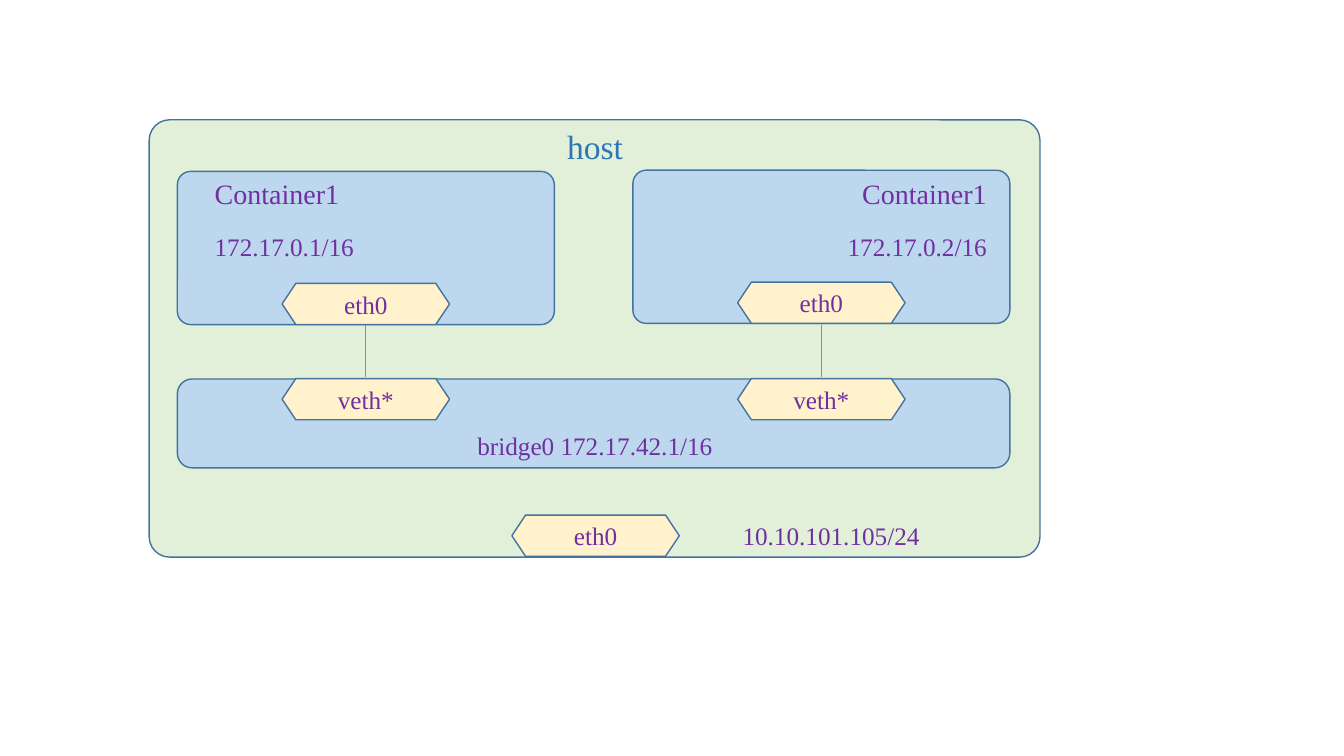
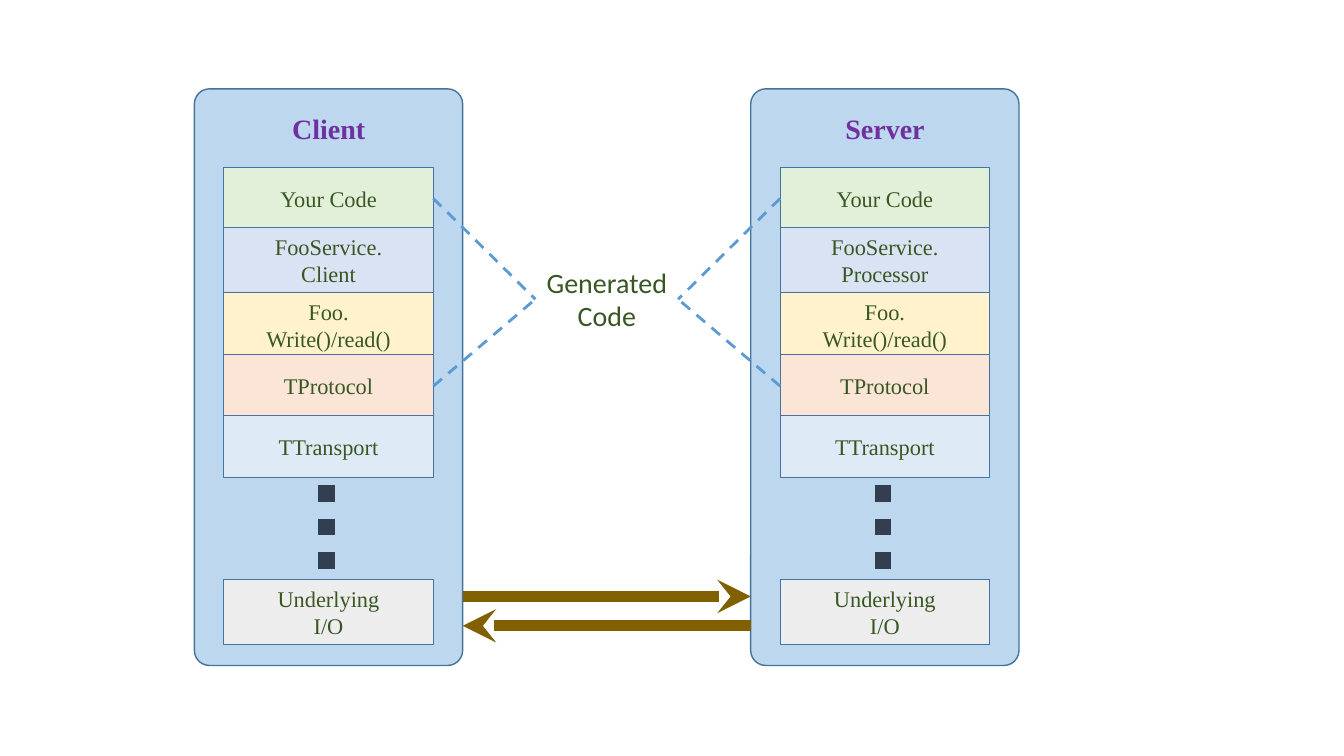
from pptx import Presentation
from pptx.dml.color import RGBColor
from pptx.enum.dml import MSO_LINE_DASH_STYLE
from pptx.enum.shapes import MSO_CONNECTOR_TYPE, MSO_SHAPE
from pptx.enum.text import MSO_ANCHOR, PP_ALIGN
from pptx.oxml.ns import qn
from pptx.util import Cm, Pt
from lxml import etree

ROUNDED, HEXAGON, RECTANGLE = (
    MSO_SHAPE.ROUNDED_RECTANGLE, MSO_SHAPE.HEXAGON, MSO_SHAPE.RECTANGLE)
LEFT, CENTER, RIGHT = PP_ALIGN.LEFT, PP_ALIGN.CENTER, PP_ALIGN.RIGHT
MIDDLE = MSO_ANCHOR.MIDDLE
STRAIGHT = MSO_CONNECTOR_TYPE.STRAIGHT
DASH, DOTS = MSO_LINE_DASH_STYLE.DASH, MSO_LINE_DASH_STYLE.ROUND_DOT

SERIF, SANS = "Times New Roman", "Calibri"
OUTLINE, PANEL, CONNECTION = "43739E", "BDD7EE", "5B9BD5"
PALE_GREEN, PALE_YELLOW = "E2F0D9", "FFF2CC"
PURPLE, DARK_GREEN, BLUE = "7030A0", "385723", "2E75B6"
DOT_COLOUR, ARROW_COLOUR = "333F50", "806000"


def add_box(page, place, kind=None, fill=None, adjust=None, outline=1, lines=(),
            size=18, colour=PURPLE, font=SERIF, bold=False, align=CENTER):
    """Add a filled shape, or a text box when no kind is given, with its lines."""
    place = [Cm(length) for length in place]
    if kind is None:
        box = page.shapes.add_textbox(*place)
    else:
        box = page.shapes.add_shape(kind, *place)
        box.shadow.inherit = False
        box.fill.solid()
        box.fill.fore_color.rgb = RGBColor.from_string(fill)
        box.line.color.rgb = RGBColor.from_string(OUTLINE)
        box.line.width = Pt(outline)
        if adjust is not None:
            box.adjustments[0] = adjust
    frame = box.text_frame
    frame.word_wrap = kind != HEXAGON
    frame.vertical_anchor = MIDDLE
    for index, line in enumerate(lines):
        para = frame.add_paragraph() if index else frame.paragraphs[0]
        para.alignment = align
        span = para.add_run()
        span.text = line
        span.font.name = font
        span.font.size = Pt(size)
        span.font.bold = bold
        span.font.color.rgb = RGBColor.from_string(colour)


def add_line(page, start, end, colour, width, dash=None, arrow=False):
    """Add a straight line, optionally dashed or with an arrowhead at its end."""
    line = page.shapes.add_connector(
        STRAIGHT, *[Cm(length) for length in (*start, *end)])
    line.line.color.rgb = RGBColor.from_string(colour)
    line.line.width = Pt(width)
    if dash is not None:
        line.line.dash_style = dash
    if arrow:
        etree.SubElement(line.line._get_or_add_ln(), qn("a:tailEnd"), type="stealth")
    etree.SubElement(line._element.spPr, qn("a:effectLst"))


deck = Presentation()
deck.slide_width, deck.slide_height = Cm(33.87), Cm(19.05)
blank = deck.slide_layouts[6]

# Container network
page = deck.slides.add_slide(blank)
add_box(page, (3.76, 3.02, 22.45, 11.02), ROUNDED, PALE_GREEN, 0.047)
add_box(page, (12.52, 3.05, 4.95, 1.27), lines=["host"], size=24, colour=BLUE)
add_box(page, (4.47, 9.55, 20.98, 2.24), ROUNDED, PANEL)

port_width, port_height = 4.22, 1.04
ports = [("eth0", 12.9, 12.98)]
containers = [
    (4.47, 4.32, 5.16, LEFT, "172.17.0.1/16"),
    (15.95, 4.29, 19.91, RIGHT, "172.17.0.2/16"),
]
for left, top, text_left, align, address in containers:
    add_box(page, (left, top, 9.5, 3.86), ROUNDED, PANEL, 0.087)
    add_box(page, (text_left, 4.32, 5.21, 1.12), lines=["Container1"],
            size=20, align=align)
    add_box(page, (text_left, 5.69, 5.21, 1.02), lines=[address], align=align)
    port_left = left + 2.64
    ports += [("eth0", port_left, top + 2.82), ("veth*", port_left, 9.54)]
    middle = port_left + port_width / 2
    add_line(page, (middle, 8.2), (middle, 9.5), CONNECTION, 0.5)

for name, left, top in ports:
    add_box(page, (left, top, port_width, port_height), HEXAGON, PALE_YELLOW,
            0.333, lines=[name])
add_box(page, (11.63, 10.72, 6.73, 1.02), lines=["bridge0 172.17.42.1/16"])
add_box(page, (17.58, 12.98, 6.73, 1.02), lines=["10.10.101.105/24"])

# Client and server stacks
page = deck.slides.add_slide(blank)
panel_width = 6.76
stacks = [("Client", "Client", 4.9), ("Server", "Processor", 18.92)]
for title, service, left in stacks:
    add_box(page, (left, 2.24, panel_width, 14.53), ROUNDED, PANEL, 0.056)
    add_box(page, (left + 1.3, 2.67, 4.17, 1.12), lines=[title], size=20, bold=True)
    layers = [
        (4.22, 1.57, PALE_GREEN, ["Your Code"]),
        (5.74, 1.63, "DAE3F3", ["FooService.", service]),
        (7.37, 1.63, PALE_YELLOW, ["Foo.", "Write()/read()"]),
        (8.94, 1.57, "FBE5D6", ["TProtocol"]),
        (10.46, 1.57, "DEEBF7", ["TTransport"]),
        (14.61, 1.63, "EDEDED", ["Underlying", "I/O"]),
    ]
    for top, height, fill, lines in layers:
        add_box(page, (left + 0.74, top, 5.28, height), RECTANGLE, fill,
                outline=0.75, lines=lines, size=16, colour=DARK_GREEN)
    add_line(page, (left + 3.33, 12.22), (left + 3.33, 14.68), DOT_COLOUR, 12, DOTS)

add_box(page, (13.49, 6.55, 3.61, 1.96), lines=["Generated Code"], size=20,
        colour=DARK_GREEN, font=SANS)
for stack_edge, label_edge in [(10.92, 13.49), (19.66, 17.09)]:
    for layer_middle in (5, 9.73):
        add_line(page, (stack_edge, layer_middle), (label_edge, 7.54),
                 CONNECTION, 2, DASH)

client_edge, server_edge = stacks[0][2] + panel_width, stacks[1][2]
for start, end, height in [(client_edge, server_edge, 15.03),
                           (server_edge, client_edge, 15.77)]:
    add_line(page, (start, height), (end, height), ARROW_COLOUR, 8, arrow=True)

deck.save("out.pptx")
